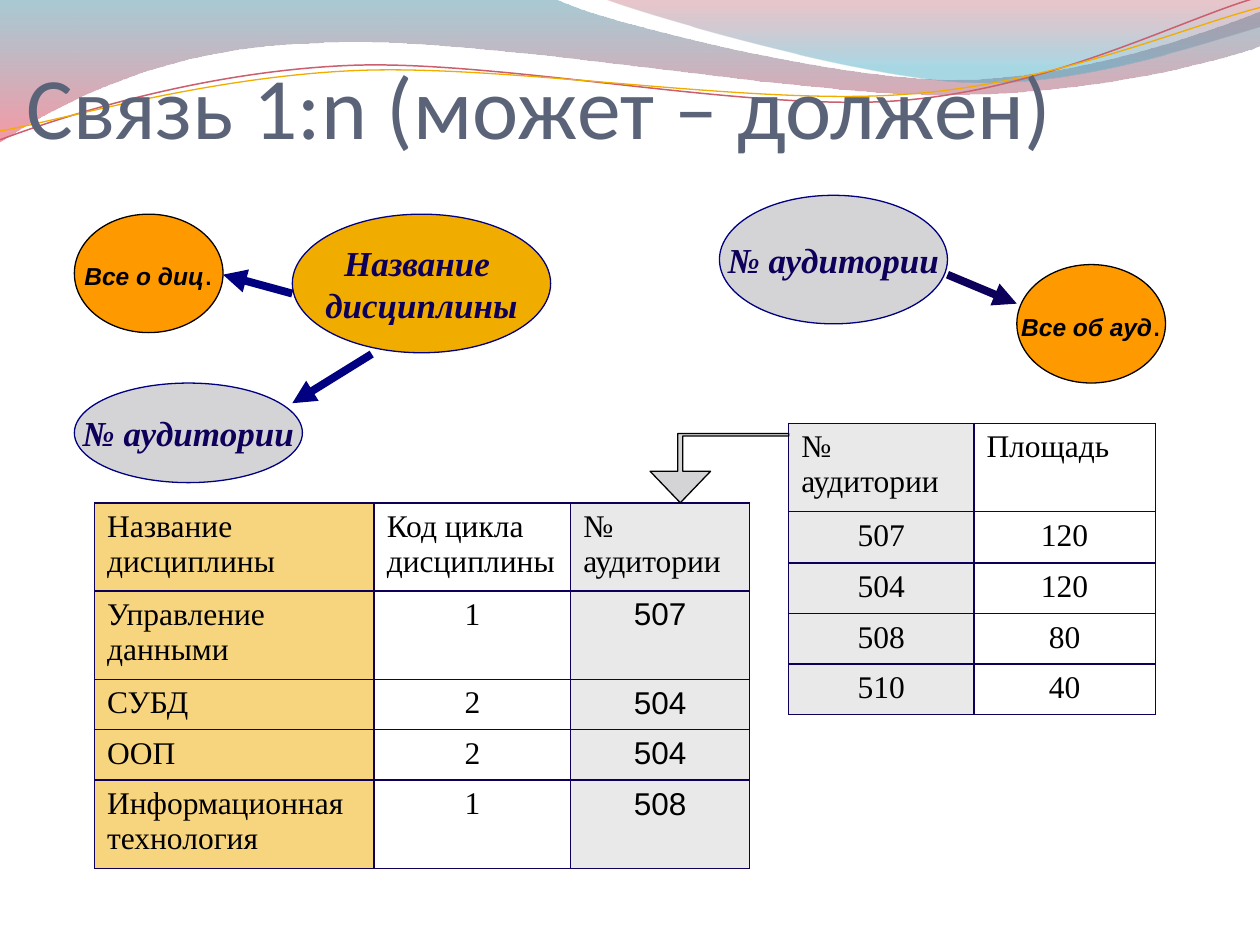
from dataclasses import dataclass
from lxml.etree import SubElement
from pptx import Presentation
from pptx.dml.color import RGBColor
from pptx.enum.shapes import MSO_CONNECTOR, MSO_SHAPE
from pptx.enum.text import MSO_ANCHOR, PP_ALIGN
from pptx.oxml import parse_xml
from pptx.oxml.ns import nsdecls, qn
from pptx.util import Inches, Pt


@dataclass(frozen=True)
class Theme:
    navy: str = "000080"
    ink: str = "0D005A"
    black: str = "000000"
    slate: str = "5A6378"
    gold: str = "F0AD00"
    gray: str = "D4D4D6"
    fire: str = "FF9900"
    rose: str = "CB5F6E"
    head: str = "Calibri"
    sans: str = "Arial"
    serif: str = "Times New Roman"
    big: int = 50
    mid: int = 20
    body: int = 18
    small: int = 14
    thin: float = 0.75
    thick: float = 4.5


T = Theme()
COLS = 100  # square grid over the whole slide, 100 by 75

# Content: all places are in grid columns and rows
TITLE = "Связь 1:n (может – должен)"

# Waves: start point, then lines (2 numbers) and curves (6 numbers)
BANDS = [
    ((0, 0), [(44, -0.1), (47.6, 1.7, 66.4, 6.3, 75.8, 6.3),
              (85.3, 6.3, 95.8, 2.6, 100, 0.9), (100.1, 3.6),
              (98.3, 4.4, 87, 7.6, 74.6, 7.5), (62.2, 7.5, 38.2, 2.8, 25.7, 3.4),
              (12.9, 3.6, 4.6, 8.3, -0.1, 11.3)],
     [(0, "3F8A9F", 45), (100, "EF445B", 55)]),
    ((47.9, -0.1), [(50.9, 1.1, 68.2, 6.2, 76.9, 6.5),
                    (85.6, 6.9, 96.1, 3.2, 100, 2.1), (100, 0)],
     [(0, "B84253", 30), (80, "42ABC7", 45)]),
]
TRAILS = [
    ((0, 11.1), [(4.8, 9.3, 15.8, 5.7, 27.7, 5.2), (39.5, 4.7, 59.3, 8.9, 71.3, 8),
                 (83.3, 7.1, 93.8, 1.5, 99.8, -0.2)], T.rose, 0.85),
    ((0, 10.4), [(4.7, 9.6, 16.4, 6.1, 28.3, 5.6), (40.3, 5.1, 59.7, 8.4, 71.7, 7.5),
                 (83.6, 6.7, 94.1, 2.1, 100, 0.6)], T.gold, T.thin),
]

# Tables: box, column widths, least row heights, column fills, faces, rows
TABLES = [
    ((7.5, 39.9, 52, 29), (22.2, 15.6, 14.2), (6.3, 4.1, 3.4, 3.6, 3.6),
     (T.gold, None, T.gray), (T.serif, T.serif, T.sans),
     [("Название дисциплины", "Код цикла дисциплины", "№ аудитории"),
      ("Управление данными", "1", "507"),
      ("СУБД", "2", "504"),
      ("ООП", "2", "504"),
      ("Информационная технология", "1", "508")]),
    ((62.6, 33.6, 29.1, 23.1), (14.7, 14.4), (6.3, 4.1, 3.4, 3.1, 3.4),
     (T.gray, None), (T.serif, T.serif),
     [("№ аудитории", "Площадь"), ("507", "120"), ("504", "120"),
      ("508", "80"), ("510", "40")]),
]
BEND = [(54, 39.9), (56.4, 37.4), (54.2, 37.4), (54.2, 34.6), (62.6, 34.6),
        (62.6, 34.4), (53.8, 34.4), (53.8, 37.4), (51.6, 37.4)]

# Ovals: box, fill, outline, paragraphs of (text, style) runs
KEY = (T.mid, T.serif, T.ink, True)
NOTE = (T.small, T.sans, T.black, True)
DOT = (".", (T.body, T.sans, T.black, False))
ROOM = [[("№ аудитории", KEY)]]
OVALS = [
    ((23.2, 17, 20.5, 11), T.gold, T.navy, [[("Название ", KEY)], [("дисциплины", KEY)]]),
    ((57.1, 15.5, 18.1, 10.2), T.gray, T.navy, ROOM),
    ((5.9, 17, 11.8, 9.4), T.fire, T.black, [[("Все о диц", NOTE), DOT]]),
    ((80.7, 21, 11.8, 9.4), T.fire, T.black, [[("Все об ауд", NOTE), DOT]]),
    ((5.9, 30.4, 18.1, 7.9), T.gray, T.navy, ROOM),
]
ARROWS = [
    ((23.2, 23.3, 17.7, 21.8), T.navy),
    ((75.2, 21.8, 80.7, 24.1), T.ink),
    ((29.5, 28.1, 23.2, 32), T.navy),
]

deck = Presentation()
deck.slide_width, deck.slide_height = Inches(10), Inches(7.5)
UNIT = deck.slide_width / COLS
shapes = deck.slides.add_slide(deck.slide_layouts[6]).shapes


def grid(*nums):
    return [round(n * UNIT) for n in nums]


def tint(code):
    return RGBColor.from_string(code)


def paint(shape, fill=None, line=None, width=T.thin):
    shape.shadow.inherit = False
    if fill:
        shape.fill.solid()
        shape.fill.fore_color.rgb = tint(fill)
    else:
        shape.fill.background()
    if line:
        shape.line.color.rgb = tint(line)
        shape.line.width = Pt(width)
    else:
        shape.line.fill.background()


def write(para, text, style):
    size, face, color, strong = style
    run = para.add_run()
    run.text = text
    font = run.font
    font.size, font.name, font.color.rgb = Pt(size), face, tint(color)
    font.bold = font.italic = strong


def trace(start, steps, close):
    """Outline of lines and cubic curves."""
    pen = shapes.build_freeform(*grid(*start))
    pen.add_line_segments([grid(*step[-2:]) for step in steps], close=close)
    shape = pen.convert_to_shape()
    left, top = shape.left, shape.top
    lines = list(shape.element.iter(qn("a:lnTo")))
    for line, step in zip(lines, steps):
        if len(step) == 6:
            curve = parse_xml(f'<a:cubicBezTo {nsdecls("a")}/>')
            spots = grid(*step)
            for x, y in zip(spots[::2], spots[1::2]):
                SubElement(curve, qn("a:pt"), x=str(x - left), y=str(y - top))
            line.getparent().replace(line, curve)
    return shape


# Waves
for start, steps, stops in BANDS:
    band = trace(start, steps, True)
    paint(band)
    marks = "".join(
        f'<a:gs pos="{pos * 1000}"><a:srgbClr val="{code}">'
        f'<a:alpha val="{share * 1000}"/></a:srgbClr></a:gs>'
        for pos, code, share in stops)
    blend = parse_xml(f'<a:gradFill {nsdecls("a")}><a:gsLst>{marks}</a:gsLst>'
                      '<a:lin ang="5400000" scaled="0"/></a:gradFill>')
    props = band.element.spPr
    props.replace(props.find(qn("a:noFill")), blend)
for start, steps, color, width in TRAILS:
    paint(trace(start, steps, False), None, color, width)

# Title
frame = shapes.add_textbox(*grid(2.1, 2.5, 87.7, 10)).text_frame
frame.word_wrap = True
frame.vertical_anchor = MSO_ANCHOR.BOTTOM
frame.margin_left = frame.margin_right = frame.margin_bottom = 0
write(frame.paragraphs[0], TITLE, (T.big, T.head, T.slate, False))


def edge(cell, fill):
    """Borders on all sides and a half-clear fill."""
    props = cell._tc.get_or_add_tcPr()
    if fill:
        cell.fill.solid()
        cell.fill.fore_color.rgb = tint(fill)
        SubElement(props.find(".//" + qn("a:srgbClr")), qn("a:alpha"), val="50000")
    else:
        cell.fill.background()
    for i, side in enumerate(("lnL", "lnR", "lnT", "lnB")):
        props.insert(i, parse_xml(
            f'<a:{side} {nsdecls("a")} w="12700"><a:solidFill>'
            f'<a:srgbClr val="{T.ink}"/></a:solidFill></a:{side}>'))


# Tables
for box, wide, high, fills, faces, rows in TABLES:
    holder = shapes.add_table(len(rows), len(wide), *grid(*box))
    table = holder.table
    table.first_row = table.horz_banding = False
    for col, width in zip(table.columns, grid(*wide)):
        col.width = width
    for r, (row, height) in enumerate(zip(rows, grid(*high))):
        table.rows[r].height = height
        for c, text in enumerate(row):
            cell = table.cell(r, c)
            edge(cell, fills[c])
            para = cell.text_frame.paragraphs[0]
            para.alignment = PP_ALIGN.CENTER if text.isdigit() else PP_ALIGN.LEFT
            face = faces[c] if r else T.serif
            write(para, text, (T.body, face, T.black, False))
    holder.height = grid(box[3])[0]

# Bent arrow between the tables
paint(trace(BEND[0], BEND[1:], True), T.gray, T.black)

# Ovals
for box, fill, line, paras in OVALS:
    oval = shapes.add_shape(MSO_SHAPE.OVAL, *grid(*box))
    paint(oval, fill, line)
    frame = oval.text_frame
    frame.word_wrap = False
    frame.vertical_anchor = MSO_ANCHOR.MIDDLE
    for i, runs in enumerate(paras):
        para = frame.add_paragraph() if i else frame.paragraphs[0]
        para.alignment = PP_ALIGN.CENTER
        for text, style in runs:
            write(para, text, style)

# Arrows
for ends, color in ARROWS:
    arrow = shapes.add_connector(MSO_CONNECTOR.STRAIGHT, *grid(*ends))
    arrow.line.color.rgb = tint(color)
    arrow.line.width = Pt(T.thick)
    SubElement(arrow.line._get_or_add_ln(), qn("a:tailEnd"), type="triangle")
    SubElement(arrow.element.spPr, qn("a:effectLst"))

deck.save("out.pptx")
